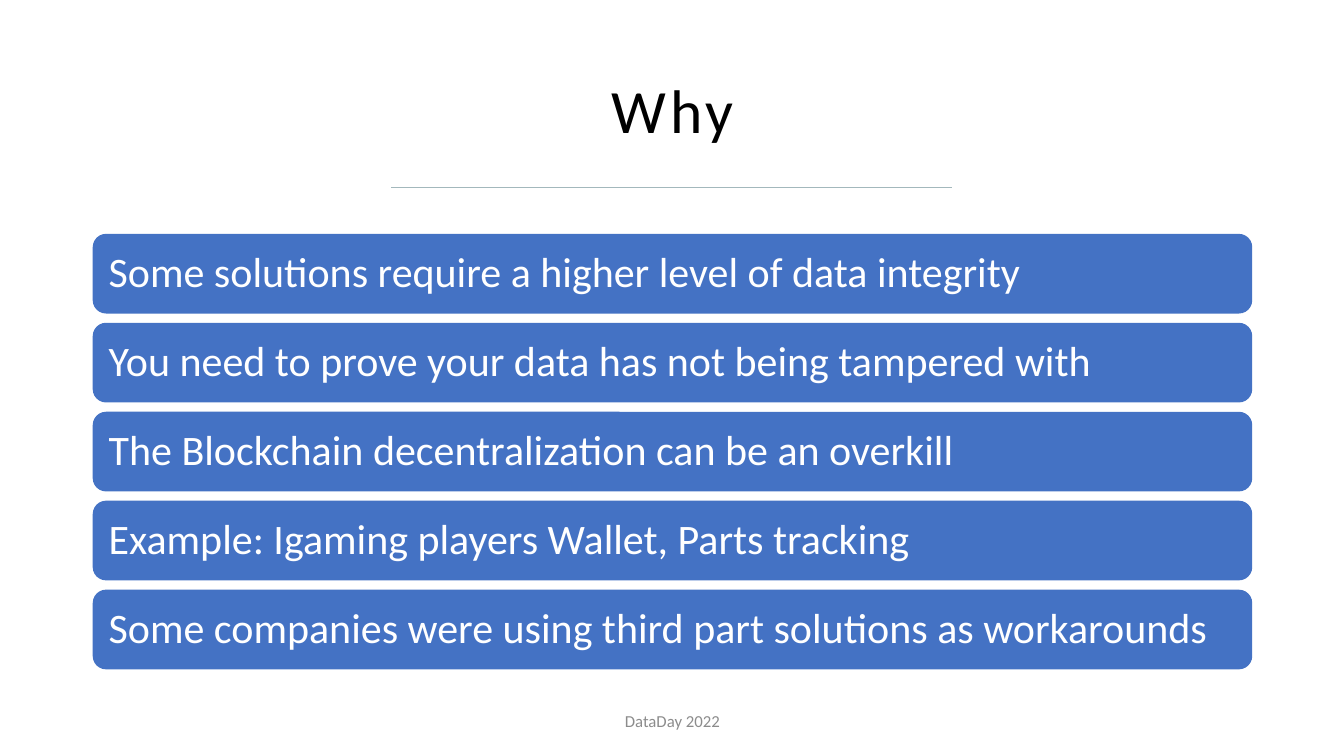
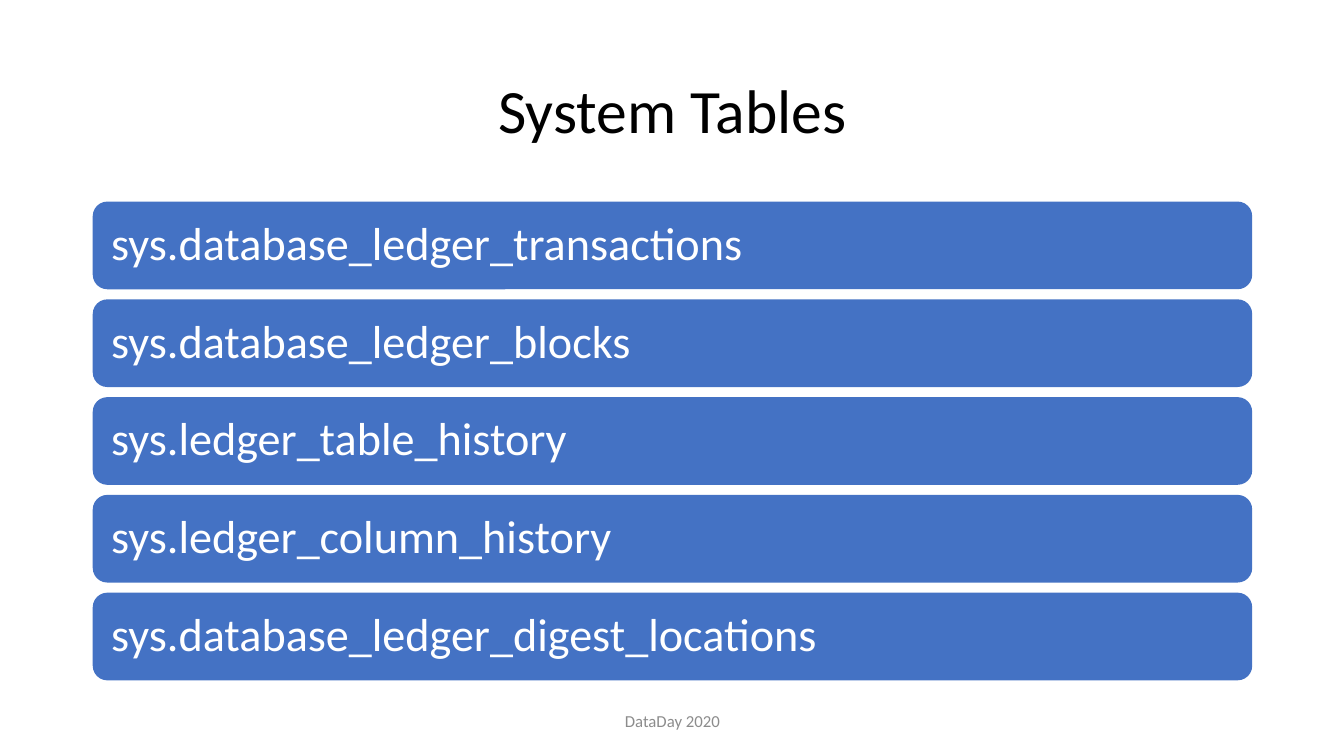
from dataclasses import dataclass

from pptx import Presentation
from pptx.dml.color import RGBColor
from pptx.enum.shapes import MSO_CONNECTOR, MSO_SHAPE
from pptx.enum.text import MSO_ANCHOR, PP_ALIGN
from pptx.slide import Slide
from pptx.text.text import TextFrame
from pptx.util import Inches, Pt
from lxml import etree

ROUNDED = MSO_SHAPE.ROUNDED_RECTANGLE
STRAIGHT = MSO_CONNECTOR.STRAIGHT
MIDDLE = MSO_ANCHOR.MIDDLE
LEFT, CENTER = PP_ALIGN.LEFT, PP_ALIGN.CENTER

FONT = "Calibri"
COLORS = {
    "title": "000000",
    "bar": "4472C4",
    "bar_text": "FFFFFF",
    "footer": "8C8C8C",
    "rule": "A3B8BC",
}
MARGIN, CONTENT_WIDTH = 0.92, 11.5
DRAWING_NS = "http://schemas.openxmlformats.org/drawingml/2006/main"


@dataclass(frozen=True)
class BarStyle:
    first_top: float
    last_top: float
    height: float
    inset: float
    size: int


@dataclass(frozen=True)
class Topic:
    title: str
    footer: str
    points: tuple[str, ...]
    bars: BarStyle
    title_spacing: int = 0
    ruled: bool = False


TOPICS = (
    Topic(
        "Why",
        "DataDay 2022",
        (
            "Some solutions require a higher level of data integrity",
            "You need to prove your data has not being tampered with",
            "The Blockchain decentralization can be an overkill",
            "Example: Igaming players Wallet, Parts tracking",
            "Some companies were using third part solutions as workarounds",
        ),
        BarStyle(first_top=2.32, last_top=5.85, height=0.79, inset=0.12, size=30),
        title_spacing=3,
        ruled=True,
    ),
    Topic(
        "System Tables",
        "DataDay 2020",
        (
            "sys.database_ledger_transactions",
            "sys.database_ledger_blocks",
            "sys.ledger_table_history",
            "sys.ledger_column_history",
            "sys.database_ledger_digest_locations",
        ),
        BarStyle(first_top=2, last_top=5.88, height=0.87, inset=0.14, size=33),
    ),
)


def color(role: str) -> RGBColor:
    return RGBColor.from_string(COLORS[role])


def write(frame: TextFrame, text: str, size: int, role: str,
          align: PP_ALIGN = CENTER, line_spacing: float = 0.9) -> None:
    frame.word_wrap = True
    frame.vertical_anchor = MIDDLE
    paragraph = frame.paragraphs[0]
    paragraph.text = text
    paragraph.alignment = align
    paragraph.line_spacing = line_spacing
    paragraph.font.name = FONT
    paragraph.font.size = Pt(size)
    paragraph.font.color.rgb = color(role)


def add_title(slide: Slide, text: str, spacing: int) -> None:
    """Add the heading, with letter spacing in points."""
    heading = slide.shapes.add_textbox(
        Inches(MARGIN), Inches(0.4), Inches(CONTENT_WIDTH), Inches(1.45))
    write(heading.text_frame, text, 44, "title")
    if spacing:
        run = heading.text_frame.paragraphs[0].runs[0]
        run.font._element.set("spc", str(spacing * 100))


def add_bars(slide: Slide, points: tuple[str, ...], style: BarStyle) -> None:
    pitch = (style.last_top - style.first_top) / (len(points) - 1)
    for row, point in enumerate(points):
        bar = slide.shapes.add_shape(
            ROUNDED, Inches(MARGIN), Inches(style.first_top + row * pitch),
            Inches(CONTENT_WIDTH), Inches(style.height))
        bar.shadow.inherit = False
        bar.fill.solid()
        bar.fill.fore_color.rgb = color("bar")
        bar.line.fill.background()
        frame = bar.text_frame
        frame.margin_left = frame.margin_right = Inches(style.inset)
        frame.margin_top = frame.margin_bottom = Inches(style.inset)
        write(frame, point, style.size, "bar_text", LEFT)


def add_footer(slide: Slide, text: str) -> None:
    footer = slide.shapes.add_textbox(
        Inches(4.42), Inches(6.95), Inches(4.5), Inches(0.4))
    write(footer.text_frame, text, 12, "footer", line_spacing=1.0)


def add_title_rule(slide: Slide) -> None:
    rule = slide.shapes.add_connector(
        STRAIGHT, Inches(3.88), Inches(1.86), Inches(9.44), Inches(1.86))
    rule.line.color.rgb = color("rule")
    rule.line.width = Pt(0.5)
    etree.SubElement(rule._element.spPr, f"{{{DRAWING_NS}}}effectLst")


def main() -> None:
    deck = Presentation()
    deck.slide_width, deck.slide_height = Inches(13.33), Inches(7.5)
    blank = deck.slide_layouts[6]
    for topic in TOPICS:
        slide = deck.slides.add_slide(blank)
        add_title(slide, topic.title, topic.title_spacing)
        add_bars(slide, topic.points, topic.bars)
        add_footer(slide, topic.footer)
        if topic.ruled:
            add_title_rule(slide)
    deck.save("out.pptx")


if __name__ == "__main__":
    main()
